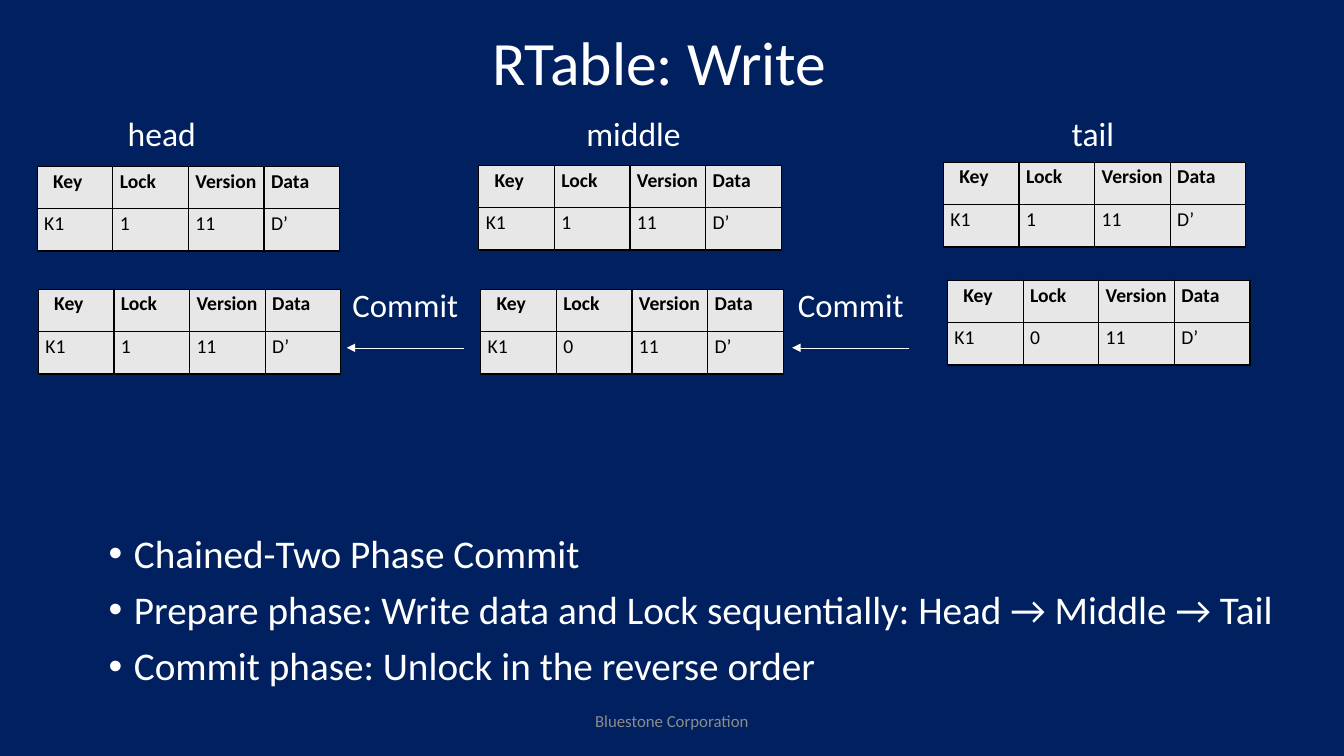
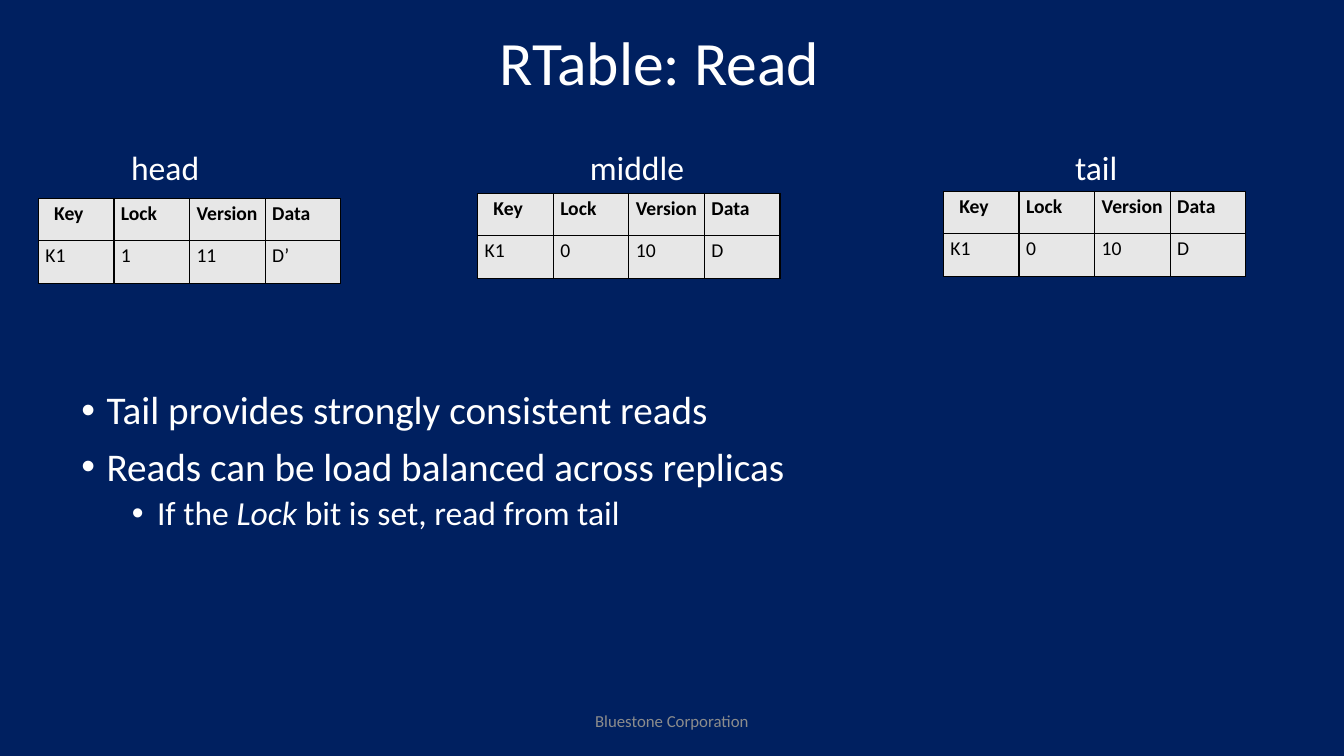
"""Build two slides on replicated table writes and reads."""
from lxml.etree import SubElement
from pptx import Presentation
from pptx.dml.color import RGBColor
from pptx.enum.shapes import MSO_CONNECTOR
from pptx.enum.text import MSO_ANCHOR, PP_ALIGN
from pptx.oxml.ns import qn
from pptx.util import Pt

COLOURS = {
    "background": "002060",
    "text": "FFFFFF",
    "footer": "8C8C8C",
    "cell": "E7E7E7",
    "ink": "000000",
}
FONT = "Calibri"
FOOTER = "Bluestone Corporation"
HEADINGS = ("Key", "Lock", "Version", "Data")
REPLICAS = (("head", 0, 64), ("middle", 327.6, 83), ("tail", 674.2, 46))
BULLET_LEVELS = ((18, 10, 28), (54, 5, 24))


def colour(name):
    return RGBColor.from_string(COLOURS[name])


class Deck:
    def __init__(self):
        self.presentation = Presentation()
        self.presentation.slide_width = Pt(960)
        self.presentation.slide_height = Pt(540)
        fill = self.presentation.slide_master.background.fill
        fill.solid()
        fill.fore_color.rgb = colour("background")
        self.slide = None

    def format_runs(self, paragraph, size, name="text", bold=False):
        for run in paragraph.runs:
            run.font.name = FONT
            run.font.size = Pt(size)
            run.font.bold = bold
            run.font.color.rgb = colour(name)

    def start(self, title):
        self.slide = self.presentation.slides.add_slide(self.presentation.slide_layouts[5])
        shape = self.slide.shapes.title
        shape.left, shape.top, shape.width, shape.height = Pt(99), Pt(1.5), Pt(744), Pt(90)
        shape.text_frame.text = title
        shape.text_frame.vertical_anchor = MSO_ANCHOR.MIDDLE
        paragraph = shape.text_frame.paragraphs[0]
        paragraph.alignment = PP_ALIGN.CENTER
        paragraph.line_spacing = 0.9
        self.format_runs(paragraph, 44)
        footer = self.text(FOOTER, 318, 500.5, 324, 29, 12, "footer")
        footer.vertical_anchor = MSO_ANCHOR.MIDDLE
        footer.paragraphs[0].alignment = PP_ALIGN.CENTER

    def frame(self, left, top, width, height):
        shape = self.slide.shapes.add_textbox(Pt(left), Pt(top), Pt(width), Pt(height))
        shape.text_frame.word_wrap = True
        return shape.text_frame

    def text(self, text, left, top, width, height, size, name="text"):
        frame = self.frame(left, top, width, height)
        frame.text = text
        self.format_runs(frame.paragraphs[0], size, name)
        return frame

    def replica_labels(self, left, top):
        for label, offset, width in REPLICAS:
            self.text(label, left + offset, top, width, 36, 24).word_wrap = False

    def bullets(self, left, top, width, height, items):
        frame = self.frame(left, top, width, height)
        for index, (level, text) in enumerate(items):
            paragraph = frame.add_paragraph() if index else frame.paragraphs[0]
            margin, space, size = BULLET_LEVELS[level]
            for part, piece in enumerate(text.split("*")):
                run = paragraph.add_run()
                run.text = piece
                run.font.italic = part % 2 == 1
            self.format_runs(paragraph, size)
            paragraph.level = level
            paragraph.line_spacing = 0.9
            paragraph.space_before = Pt(space)
            properties = paragraph._p.get_or_add_pPr()
            properties.set("marL", str(Pt(margin)))
            properties.set("indent", str(Pt(-18)))
            SubElement(properties, qn("a:buFont"), typeface="Arial")
            SubElement(properties, qn("a:buChar"), char="•")

    def record_table(self, left, top, values):
        rows = (HEADINGS, values)
        table = self.slide.shapes.add_table(
            2, 4, Pt(left), Pt(top), Pt(216), Pt(60.5)).table
        for row in table.rows:
            row.height = Pt(30.25)
        for row, texts in enumerate(rows):
            for column, text in enumerate(texts):
                self.cell(table.cell(row, column), text, row == 0, text == "Key")

    def cell(self, cell, text, bold, indented):
        cell.text_frame.text = text
        self.format_runs(cell.text_frame.paragraphs[0], 14, "ink", bold)
        cell.margin_left = Pt(11.3 if indented else 5)
        cell.margin_right = Pt(4)
        cell.margin_top = cell.margin_bottom = Pt(2.2)
        properties = cell._tc.get_or_add_tcPr()
        for side in ("a:lnL", "a:lnR", "a:lnT", "a:lnB"):
            border = SubElement(properties, qn(side), w=str(Pt(1)))
            fill = SubElement(border, qn("a:solidFill"))
            SubElement(fill, qn("a:srgbClr"), val=COLOURS["ink"])
        cell.fill.solid()
        cell.fill.fore_color.rgb = colour("cell")

    def commit_arrow(self, left):
        self.text("Commit", left - 3, 199.6, 96, 37, 23.4)
        arrow = self.slide.shapes.add_connector(
            MSO_CONNECTOR.STRAIGHT, Pt(left + 83.5), Pt(248.4), Pt(left), Pt(248.4))
        arrow.line.color.rgb = colour("text")
        arrow.line.width = Pt(0.3)
        SubElement(arrow.line._get_or_add_ln(), qn("a:tailEnd"), type="triangle")
        SubElement(arrow._element.spPr, qn("a:effectLst"))


def build_write(deck):
    deck.start("RTable: Write")
    deck.replica_labels(84.2, 77)
    for left, top, lock in (
        (26.6, 118.8, "1"), (342, 118.1, "1"), (673.9, 115.9, "1"),
        (27.4, 206.6, "1"), (343.4, 206.6, "0"), (676.8, 200.2, "0"),
    ):
        deck.record_table(left, top, ("K1", lock, "11", "D’"))
    for left in (247.7, 565.9):
        deck.commit_arrow(left)
    deck.bullets(70.6, 378, 872, 154, (
        (0, "Chained-Two Phase Commit"),
        (0, "Prepare phase: Write data and Lock sequentially: Head → Middle → Tail"),
        (0, "Commit phase: Unlock in the reverse order"),
    ))


def build_read(deck):
    deck.start("RTable: Read")
    deck.replica_labels(86.6, 101.7)
    deck.record_table(27.4, 141.8, ("K1", "1", "11", "D’"))
    for left, top in ((341.2, 138.2), (673.9, 136.8)):
        deck.record_table(left, top, ("K1", "0", "10", "D"))
    deck.bullets(51.1, 275.8, 792, 182, (
        (0, "Tail provides strongly consistent reads"),
        (0, "Reads can be load balanced across replicas"),
        (1, "If the *Lock* bit is set, read from tail"),
    ))


def main():
    deck = Deck()
    build_write(deck)
    build_read(deck)
    deck.presentation.save("out.pptx")


if __name__ == "__main__":
    main()
